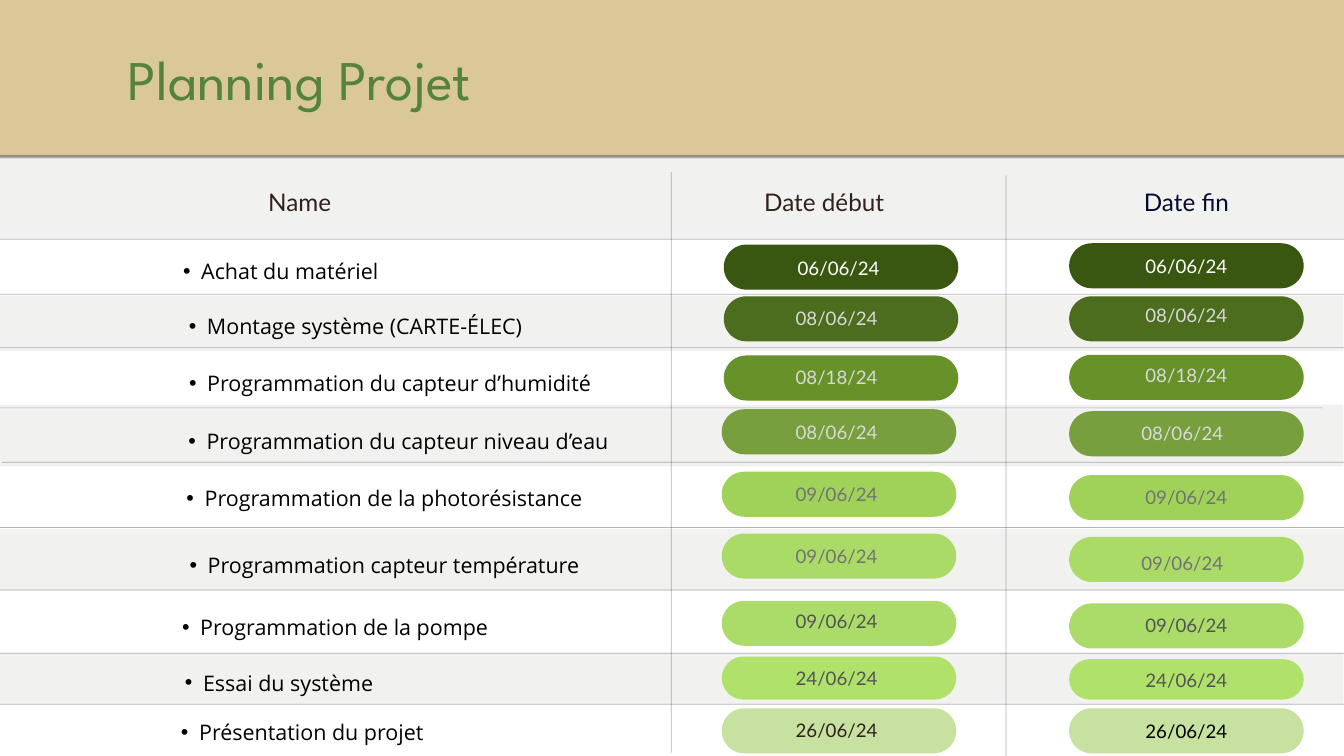
"""Build the project planning slide: tasks with start and end dates."""
from dataclasses import dataclass

from lxml import etree
from pptx import Presentation
from pptx.dml.color import RGBColor
from pptx.enum.shapes import MSO_CONNECTOR, MSO_SHAPE
from pptx.enum.text import MSO_ANCHOR, MSO_AUTO_SIZE, PP_ALIGN
from pptx.oxml.ns import qn
from pptx.util import Inches, Pt

STRAIGHT = MSO_CONNECTOR.STRAIGHT
RECTANGLE = MSO_SHAPE.RECTANGLE
ROUNDED = MSO_SHAPE.ROUNDED_RECTANGLE
TOP = MSO_ANCHOR.TOP
FIT_SHAPE = MSO_AUTO_SIZE.SHAPE_TO_FIT_TEXT
CENTER = PP_ALIGN.CENTER


@dataclass(frozen=True)
class TextStyle:
    """Font, size and line spacing of one kind of text."""
    font: str
    size: float
    spacing: float


@dataclass(frozen=True)
class Theme:
    """Colours and text styles of the slide."""
    title: TextStyle = TextStyle("League Spartan", 60, 84)
    heading: TextStyle = TextStyle("Lato", 26, 33.8)
    task: TextStyle = TextStyle("Open Sans", 23, 32.2)
    date: TextStyle = TextStyle("Lato", 20, 26)
    sand: str = "DBC898"
    stripe: str = "F1F1F0"
    title_green: str = "55833D"
    navy: str = "050A30"
    brown: str = "30211C"
    black: str = "000000"
    white: str = "FFFFFF"
    silver: str = "D9D9D9"
    grey: str = "737373"
    charcoal: str = "545454"


THEME = Theme()
END_PILL_LEFT = 15.91
PILL_WIDTH = 3.49


@dataclass(frozen=True)
class Box:
    """Place and size in inches."""
    left: float
    top: float
    width: float
    height: float


@dataclass(frozen=True)
class Rule:
    """Thin separator between two points in inches."""
    x1: float
    y1: float
    x2: float
    y2: float
    weight: float = 0.75


@dataclass(frozen=True)
class DateMark:
    """Pill and date positions in one date column."""
    pill_left: float
    pill_top: float
    date_left: float
    date_top: float
    date_width: float
    ink: str
    pill_height: float = 0.67


@dataclass(frozen=True)
class Stage:
    """One project task with its start and end marks."""
    task: str
    left: float
    top: float
    width: float
    date: str
    fill: str
    start: DateMark
    end: DateMark


def start_mark(pill_top: float, date_top: float, ink: str, pill_left: float = 10.74,
               date_left: float = 10.92, height: float = 0.67) -> DateMark:
    """Return a mark in the start column."""
    return DateMark(pill_left, pill_top, date_left, date_top, 3.06, ink, height)


def end_mark(pill_top: float, date_top: float, ink: str, date_left: float = 15.97,
             height: float = 0.67) -> DateMark:
    """Return a mark in the end column."""
    return DateMark(END_PILL_LEFT, pill_top, date_left, date_top, 3.37, ink, height)


STAGES = [
    Stage("Achat du matériel", 2.01, 3.78, 4.07, "06/06/24", "3A5711",
          start_mark(3.64, 3.8, THEME.white, 10.77, 10.95), end_mark(3.62, 3.77, THEME.white)),
    Stage("Montage système (CARTE-ÉLEC)", 2.02, 4.59, 6.28, "08/06/24", "4C6D1E",
          start_mark(4.41, 4.54, THEME.silver, 10.77), end_mark(4.41, 4.5, THEME.silver)),
    Stage("Programmation du capteur d’humidité", 2.01, 5.44, 7.33, "08/18/24", "669229",
          start_mark(5.29, 5.42, THEME.silver, 10.77), end_mark(5.28, 5.39, THEME.silver)),
    Stage("Programmation du capteur niveau d’eau", 2.01, 6.31, 7.58, "08/06/24", "779F3D",
          start_mark(6.09, 6.23, THEME.silver), end_mark(6.12, 6.25, THEME.silver, 15.91)),
    Stage("Programmation de la photorésistance", 2.02, 7.15, 7.14, "09/06/24", "A0D159",
          start_mark(7.02, 7.16, THEME.grey), end_mark(7.07, 7.2, THEME.grey)),
    Stage("Programmation capteur température", 2.02, 8.15, 7.14, "09/06/24", "ABDB67",
          start_mark(7.94, 8.08, THEME.grey), end_mark(7.99, 8.18, THEME.grey, 15.91)),
    Stage("Programmation de la pompe", 2.02, 9.08, 5.67, "09/06/24", "ABDB69",
          start_mark(8.94, 9.05, THEME.charcoal), end_mark(8.98, 9.1, THEME.charcoal)),
    Stage("Essai du système", 2.02, 9.9, 4.0, "24/06/24", "B0E16A",
          start_mark(9.77, 9.9, THEME.charcoal, height=0.64),
          end_mark(9.81, 9.93, THEME.charcoal, height=0.6)),
    Stage("Présentation du projet", 2.02, 10.64, 4.69, "26/06/24", "C6E1A0",
          start_mark(10.54, 10.67, THEME.brown), end_mark(10.54, 10.68, THEME.black)),
]

STRIPES = [Box(0, 2.35, 20, 1.2), Box(-0.01, 4.4, 20, 0.82), Box(-0.01, 6.02, 20, 0.92),
           Box(0, 7.87, 20, 0.92), Box(-0.01, 9.72, 20, 0.76)]
ROW_RULES = [(-0.19, 3.56, 20.35), (-0.19, 4.38, 20.35), (-0.27, 5.17, 20.27),
             (-0.86, 6.07, 19.68), (0.03, 6.88, 20.57), (-0.71, 7.85, 20.27),
             (-0.5, 8.78, 20.48), (-0.19, 9.72, 20.79), (-0.98, 10.48, 20)]
RULES = [Rule(left, y, right, y) for left, y, right in ROW_RULES] + [
    Rule(-0.27, 2.33, 20.27, 2.33, 3.75),
    Rule(9.99, 2.56, 9.99, 11.2),
    Rule(14.97, 2.61, 14.97, 11.25),
]
HEADINGS = [("Name", 2.99, 2.94, THEME.brown), ("Date début", 11.33, 1.87, THEME.brown),
            ("Date fin", 16.72, 1.87, THEME.navy)]


def inches(box: Box) -> tuple:
    """Return the box as lengths."""
    return Inches(box.left), Inches(box.top), Inches(box.width), Inches(box.height)


def draw_block(slide, kind, box: Box, fill: str):
    """Draw a filled shape without outline."""
    block = slide.shapes.add_shape(kind, *inches(box))
    block.shadow.inherit = False
    block.fill.solid()
    block.fill.fore_color.rgb = RGBColor.from_string(fill)
    block.line.fill.background()
    return block


def draw_rule(slide, rule: Rule) -> None:
    """Draw a translucent separator."""
    separator = slide.shapes.add_connector(
        STRAIGHT, Inches(rule.x1), Inches(rule.y1), Inches(rule.x2), Inches(rule.y2))
    separator.line.width = Pt(rule.weight)
    separator.line.color.rgb = RGBColor.from_string(THEME.navy)
    properties = separator.element.spPr
    colour = properties.find(".//" + qn("a:srgbClr"))
    etree.SubElement(colour, qn("a:alpha")).set("val", "30000")
    etree.SubElement(properties, qn("a:effectLst"))


def write(holder, text: str, style: TextStyle, colour: str, bulleted: bool = False) -> None:
    """Put one centred paragraph into a shape."""
    frame = holder.text_frame
    frame.margin_left = frame.margin_top = frame.margin_right = frame.margin_bottom = 0
    frame.word_wrap = True
    frame.vertical_anchor = TOP
    frame.auto_size = FIT_SHAPE
    frame.text = text
    paragraph = frame.paragraphs[0]
    paragraph.alignment = CENTER
    paragraph.line_spacing = Pt(style.spacing)
    if bulleted:
        paragraph.level = 1
        properties = paragraph._p.get_or_add_pPr()
        properties.set("marL", str(Inches(0.54)))
        properties.set("indent", str(Inches(-0.27)))
        etree.SubElement(properties, qn("a:buFont")).set("typeface", "Arial")
        etree.SubElement(properties, qn("a:buChar")).set("char", "•")
    paragraph.font.name = style.font
    paragraph.font.size = Pt(style.size)
    paragraph.font.color.rgb = RGBColor.from_string(colour)


def draw_text(slide, box: Box, text: str, style: TextStyle, colour: str,
              bulleted: bool = False) -> None:
    """Add a text box with one paragraph."""
    write(slide.shapes.add_textbox(*inches(box)), text, style, colour, bulleted)


def draw_stage(slide, stage: Stage) -> None:
    """Draw a task with its two dated pills."""
    draw_text(slide, Box(stage.left, stage.top, stage.width, 0.43), stage.task,
              THEME.task, THEME.black, bulleted=True)
    for mark in (stage.start, stage.end):
        pill = draw_block(slide, ROUNDED, Box(mark.pill_left, mark.pill_top, PILL_WIDTH,
                                              mark.pill_height), stage.fill)
        pill.adjustments[0] = 0.5
        draw_text(slide, Box(mark.date_left, mark.date_top, mark.date_width, 0.35),
                  stage.date, THEME.date, mark.ink)


def main() -> None:
    """Build and save the presentation."""
    deck = Presentation()
    deck.slide_width, deck.slide_height = Inches(20), Inches(11.25)
    slide = deck.slides.add_slide(deck.slide_layouts[5])
    for stripe in STRIPES:
        draw_block(slide, RECTANGLE, stripe, THEME.stripe)
    draw_block(slide, RECTANGLE, Box(0, 0, 20, 2.34), THEME.sand)
    for rule in RULES:
        draw_rule(slide, rule)
    title = slide.shapes.title
    title.left, title.top, title.width, title.height = inches(Box(1.12, 0.49, 6.67, 1.14))
    write(title, "Planning Projet", THEME.title, THEME.title_green)
    slide.shapes.element.append(title.element)
    for heading, left, width, colour in HEADINGS:
        draw_text(slide, Box(left, 2.75, width, 0.45), heading, THEME.heading, colour)
    for stage in STAGES:
        draw_stage(slide, stage)
    deck.save("out.pptx")


if __name__ == "__main__":
    main()
